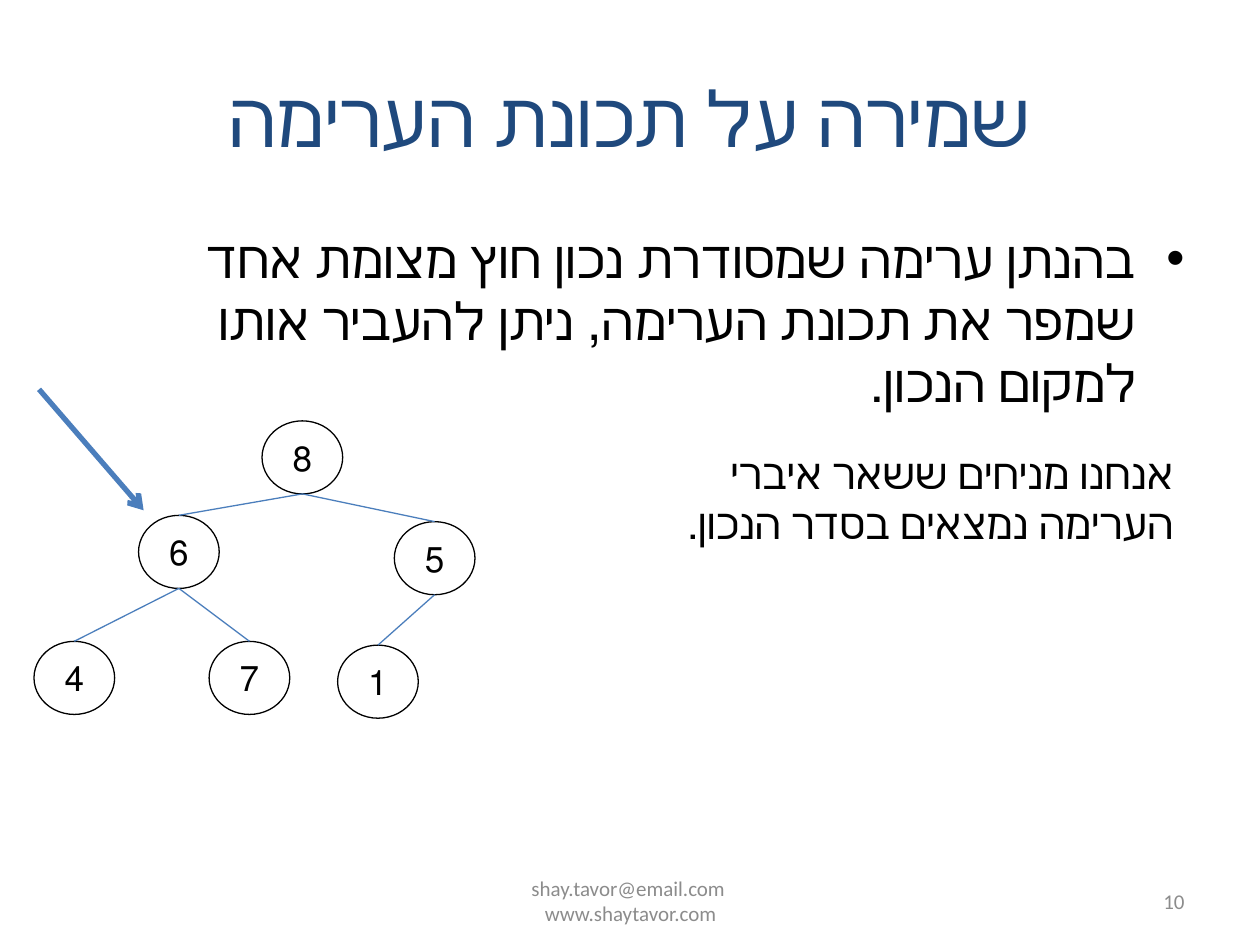
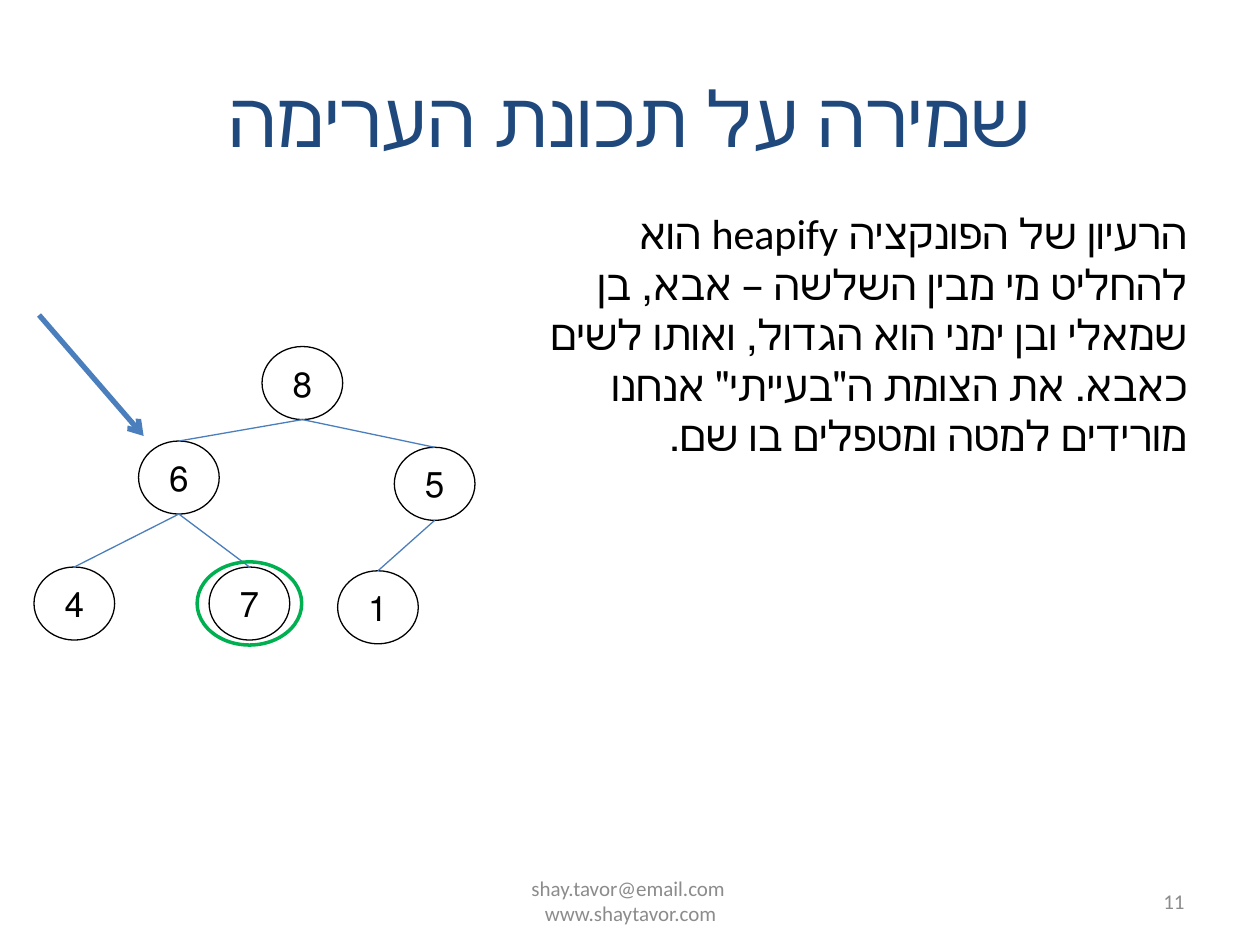
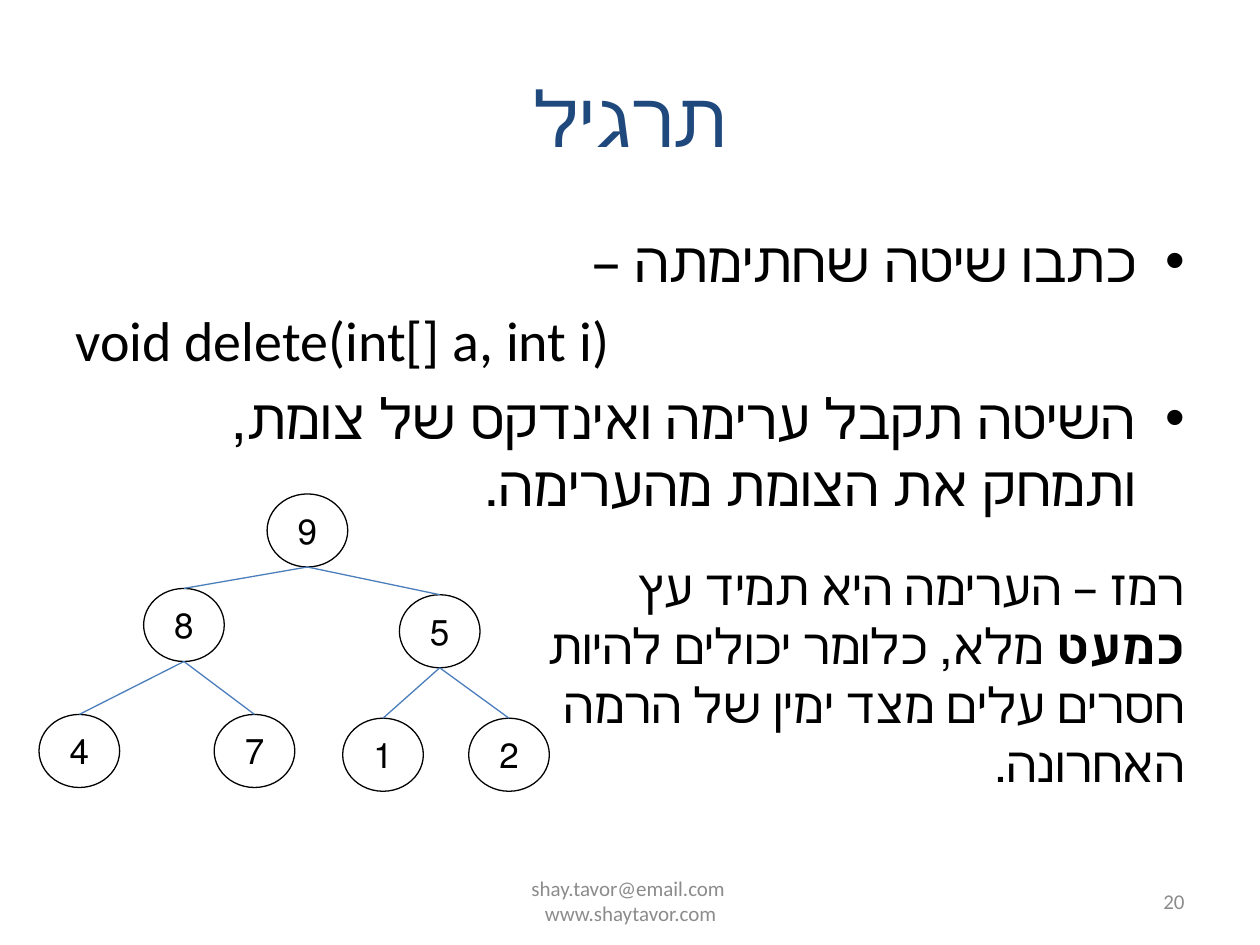
from dataclasses import dataclass

from lxml.etree import SubElement
from pptx import Presentation
from pptx.dml.color import RGBColor
from pptx.enum.shapes import MSO_CONNECTOR, MSO_SHAPE
from pptx.enum.text import MSO_ANCHOR, MSO_AUTO_SIZE, PP_ALIGN
from pptx.oxml.ns import qn
from pptx.util import Inches, Pt

NAVY = RGBColor(0x1F, 0x49, 0x7D)
BLUE = RGBColor(0x4B, 0x7E, 0xBC)
GREEN = RGBColor(0x00, 0xB0, 0x50)
GREY = RGBColor(0x8C, 0x8C, 0x8C)
BLACK = RGBColor(0, 0, 0)
WHITE = RGBColor(255, 255, 255)

NODE_W, NODE_H = 0.64, 0.58
RING_W, RING_H = 0.83, 0.66
NODE_OFFSETS = [(0, 0), (-0.98, 0.75), (1.05, 0.8),
                (-1.81, 1.75), (-0.42, 1.75), (0.6, 1.78), (1.6, 1.78)]
ARROW_START, ARROW_END = (-1.77, -0.25), (-0.94, 0.71)
BULLET_INDENT = Inches(0.38)
FOOTER = ["shay.tavor@email.com ", "www.shaytavor.com"]


@dataclass
class Heap:
    left: float
    top: float
    values: list[int]
    arrow: bool = False
    ringed: int | None = None

    def corner(self, i: int) -> tuple[float, float]:
        dx, dy = NODE_OFFSETS[i]
        return self.left + dx, self.top + dy


@dataclass
class Line:
    text: str
    rtl: bool = True
    bullet: bool = True


@dataclass
class Box:
    left: float
    top: float
    width: float
    height: float
    lines: list[Line]
    size: float
    grow: bool = False


@dataclass
class HeapSlide:
    title: str
    number: int
    heap: Heap
    boxes: list[Box]


def write(tf, text: str, *, size: float, color: RGBColor = BLACK,
          font: str = "Calibri", align: PP_ALIGN = PP_ALIGN.LEFT,
          rtl: bool = False, bullet: bool = False, before: float = 0) -> None:
    p = tf.paragraphs[0] if not tf.paragraphs[0].runs else tf.add_paragraph()
    p.alignment = align
    p.space_before = Pt(before)
    pPr = p._p.get_or_add_pPr()
    if rtl:
        pPr.set("rtl", "1")
    if bullet:
        pPr.set("marL", str(BULLET_INDENT))
        pPr.set("indent", str(-BULLET_INDENT))
        SubElement(pPr, qn("a:buFont")).set("typeface", "Arial")
        SubElement(pPr, qn("a:buChar")).set("char", "•")
    for i, part in enumerate(text.split("**")):
        r = p.add_run()
        r.text = part
        r.font.size = Pt(size)
        r.font.name = font
        r.font.color.rgb = color
        r.font.bold = i % 2 == 1


def add_frame(s, left: float, top: float, width: float, height: float,
              anchor: MSO_ANCHOR = MSO_ANCHOR.MIDDLE):
    tf = s.shapes.add_textbox(Inches(left), Inches(top),
                              Inches(width), Inches(height)).text_frame
    tf.word_wrap = True
    tf.vertical_anchor = anchor
    return tf


def add_box(s, box: Box) -> None:
    tf = add_frame(s, box.left, box.top, box.width, box.height, MSO_ANCHOR.TOP)
    if box.grow:
        tf.auto_size = MSO_AUTO_SIZE.SHAPE_TO_FIT_TEXT
    for line in box.lines:
        write(tf, line.text, size=box.size, rtl=line.rtl, bullet=line.bullet,
              align=PP_ALIGN.RIGHT if line.rtl else PP_ALIGN.LEFT,
              before=0 if box.grow else box.size * 0.2)


def add_line(s, start: tuple[float, float], end: tuple[float, float],
             width: float = 0.75, arrow: bool = False) -> None:
    c = s.shapes.add_connector(MSO_CONNECTOR.STRAIGHT,
                               *map(Inches, (*start, *end)))
    c.line.color.rgb = BLUE
    c.line.width = Pt(width)
    if arrow:
        SubElement(c.line._get_or_add_ln(), qn("a:tailEnd")).set("type", "arrow")
    SubElement(c._element.spPr, qn("a:effectLst"))


def add_ellipse(s, left: float, top: float, width: float, height: float,
                line: RGBColor, line_width: float):
    sp = s.shapes.add_shape(MSO_SHAPE.OVAL, Inches(left), Inches(top),
                            Inches(width), Inches(height))
    sp.shadow.inherit = False
    sp.fill.background()
    sp.line.color.rgb = line
    sp.line.width = Pt(line_width)
    return sp


def add_heap(s, heap: Heap) -> None:
    for i, value in enumerate(heap.values):
        x, y = heap.corner(i)
        sp = add_ellipse(s, x, y, NODE_W, NODE_H, BLACK, 0.75)
        sp.fill.solid()
        sp.fill.fore_color.rgb = WHITE
        sp.text_frame.vertical_anchor = MSO_ANCHOR.MIDDLE
        write(sp.text_frame, str(value), size=20, font="Arial",
              align=PP_ALIGN.CENTER, rtl=True)
    for i in range(1, len(heap.values)):
        px, py = heap.corner((i - 1) // 2)
        x, y = heap.corner(i)
        add_line(s, (px + NODE_W / 2, py + NODE_H), (x + NODE_W / 2, y))
    if heap.arrow:
        start, end = ((heap.left + dx, heap.top + dy)
                      for dx, dy in (ARROW_START, ARROW_END))
        add_line(s, start, end, width=3, arrow=True)
    if heap.ringed is not None:
        x, y = heap.corner(heap.ringed)
        add_ellipse(s, x - (RING_W - NODE_W) / 2, y - (RING_H - NODE_H) / 2,
                    RING_W, RING_H, GREEN, 2)


def add_slide(prs, spec: HeapSlide) -> None:
    s = prs.slides.add_slide(prs.slide_layouts[6])
    write(add_frame(s, 0.5, 0.3, 9, 1.25), spec.title, size=44, color=NAVY,
          align=PP_ALIGN.CENTER)
    footer = add_frame(s, 3.42, 6.95, 3.17, 0.4)
    for text in FOOTER:
        write(footer, text, size=12, color=GREY, align=PP_ALIGN.CENTER)
    write(add_frame(s, 7.17, 6.95, 2.33, 0.4), str(spec.number), size=12,
          color=GREY, align=PP_ALIGN.RIGHT)
    for box in spec.boxes:
        add_box(s, box)
    add_heap(s, spec.heap)


HEAP_TITLE = "שמירה על תכונת הערימה"
BROKEN_HEAP = [8, 6, 5, 4, 7, 1]

SLIDES = [
    HeapSlide(HEAP_TITLE, 10, Heap(2.08, 3.34, BROKEN_HEAP, arrow=True), [
        Box(0.5, 1.75, 9, 1.33, [
            Line("בהנתן ערימה שמסודרת נכון חוץ מצומת אחד שמפר את תכונת "
                 "הערימה, ניתן להעביר אותו למקום הנכון."),
        ], 29.6),
        Box(4.58, 3.5, 4.83, 0.91, [
            Line("אנחנו מניחים ששאר איברי הערימה נמצאים בסדר הנכון.",
                 bullet=False),
        ], 24, grow=True),
    ]),
    HeapSlide(HEAP_TITLE, 11,
              Heap(2.08, 2.75, BROKEN_HEAP, arrow=True, ringed=4), [
        Box(3.89, 1.6, 5.63, 2.12, [
            Line("הרעיון של הפונקציה heapify הוא להחליט מי מבין השלשה – אבא, "
                 "בן שמאלי ובן ימני הוא הגדול, ואותו לשים כאבא. את הצומת "
                 "ה\"בעייתי\" אנחנו מורידים למטה ומטפלים בו שם.",
                 bullet=False),
        ], 24, grow=True),
    ]),
    HeapSlide("תרגיל", 20, Heap(2.12, 3.92, [9, 8, 5, 4, 7, 1, 2]), [
        Box(0.5, 1.75, 9, 2.69, [
            Line("כתבו שיטה שחתימתה – "),
            Line("void delete(int[] a, int i)", rtl=False, bullet=False),
            Line("השיטה תקבל ערימה ואינדקס של צומת, ותמחק את הצומת מהערימה."),
        ], 32),
        Box(4, 4.37, 5.5, 1.51, [
            Line("רמז – הערימה היא תמיד עץ **כמעט** מלא, כלומר יכולים להיות "
                 "חסרים עלים מצד ימין של הרמה האחרונה.", bullet=False),
        ], 28, grow=True),
    ]),
]

prs = Presentation()
prs.slide_width, prs.slide_height = Inches(10), Inches(7.5)
for slide in SLIDES:
    add_slide(prs, slide)
prs.save("out.pptx")
